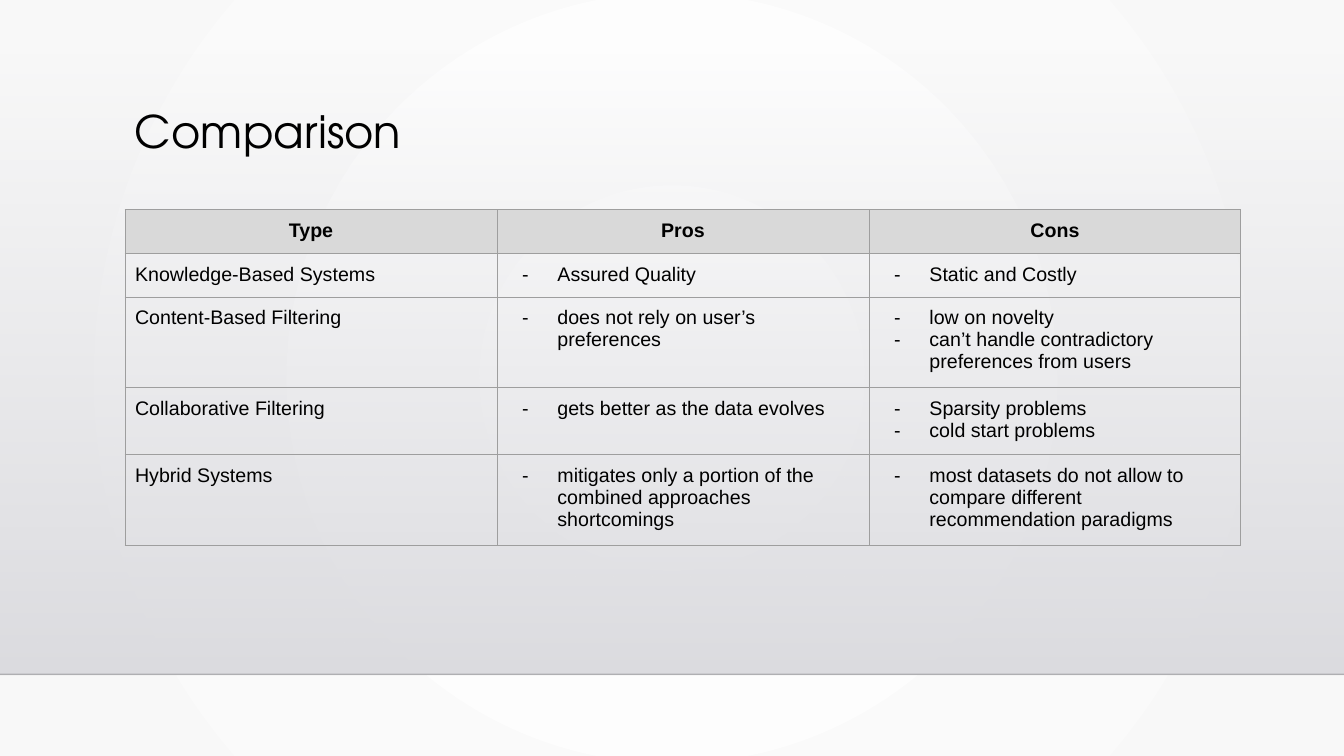
"""Build the slide that compares four kinds of recommender systems."""
from lxml.etree import SubElement
from pptx import Presentation
from pptx.dml.color import RGBColor as RGB
from pptx.enum.shapes import MSO_CONNECTOR as CONN, MSO_SHAPE as SHAPE
from pptx.enum.text import MSO_ANCHOR as ANCHOR, PP_ALIGN as ALIGN
from pptx.oxml.ns import qn
from pptx.util import Inches, Pt

THEME = {
    "ink": "000000", "header": "D9D9D9", "border": "9E9E9E", "rule": "000001",
    "backdrop": ("FFFFFF", "F8F8F8"), "floor": ("DCDCE0", "DDDDE1"),
    "title": ("TeX Gyre Adventor", 32), "body": ("Arial", 14),
}
HEADINGS = ["Type", "Pros", "Cons"]
SYSTEMS = [
    ("Knowledge-Based Systems", ["Assured Quality"], ["Static and Costly"]),
    ("Content-Based Filtering", ["does not rely on user’s preferences"],
     ["low on novelty", "can’t handle contradictory preferences from users"]),
    ("Collaborative Filtering", ["gets better as the data evolves"],
     ["Sparsity problems", "cold start problems"]),
    ("Hybrid Systems",
     ["mitigates only a portion of the combined approaches shortcomings"],
     ["most datasets do not allow to compare different recommendation paradigms"]),
]


def add_el(parent, tag, **attrs):
    return SubElement(parent, qn(tag), {k: str(v) for k, v in attrs.items()})


def add_run(p, text, style, bold=False):
    r = p.add_run()
    r.text = text
    r.font.name, size = THEME[style]
    r.font.size = Pt(size)
    r.font.bold = bold
    r.font.color.rgb = RGB.from_string(THEME["ink"])


prs = Presentation()
prs.slide_width, prs.slide_height = Inches(13.33), Inches(7.5)
W, H = prs.slide_width, prs.slide_height
COL, ROW = W / 100, H / 100
LEFT, PAD = int(9.3 * COL), int(0.75 * COL)
FLOOR_TOP, FLOOR_END = int(6.8 * ROW), int(89.2 * ROW)
s = prs.slides.add_slide(prs.slide_layouts[6])

sp = s.shapes.add_shape(SHAPE.RECTANGLE, 0, FLOOR_TOP, W, FLOOR_END - FLOOR_TOP)
sp.shadow.inherit = False
sp.line.fill.background()
for fill, colors in ((s.background.fill, "backdrop"), (sp.fill, "floor")):
    fill.gradient()
    for stop, color in zip(fill.gradient_stops, THEME[colors]):
        stop.color.rgb = RGB.from_string(color)
sp.fill.gradient_angle = 270
add_el(next(sp.element.iter(qn("a:srgbClr"))), "a:alpha", val=0)

lin = next(s.background.element.iter(qn("a:lin")) if hasattr(s.background, "element")
           else s.element.cSld.bg.iter(qn("a:lin")))
grad = lin.getparent()
grad.remove(lin)
add_el(add_el(grad, "a:path", path="circle"), "a:fillToRect",
       l=50000, t=50000, r=50000, b=50000)

rule = s.shapes.add_connector(CONN.STRAIGHT, 0, FLOOR_END, W, FLOOR_END)
rule.line.width = Pt(1)
rule.line.color.rgb = RGB.from_string(THEME["rule"])
add_el(next(rule.element.iter(qn("a:srgbClr"))), "a:alpha", val=20000)
add_el(rule.element.spPr, "a:effectLst")

title = s.shapes.add_textbox(LEFT, int(13.87 * ROW), int(78.77 * COL), int(15.33 * ROW))
tf = title.text_frame
tf.word_wrap = True
tf.vertical_anchor = ANCHOR.TOP
p = tf.paragraphs[0]
p.line_spacing = 0.9
add_run(p, "Comparison", "title")

n_rows, n_cols = len(SYSTEMS) + 1, len(HEADINGS)
col_w, row_h = int(27.68 * COL), int(5.6 * ROW)
table = s.shapes.add_table(n_rows, n_cols, LEFT, int(27.73 * ROW),
                           n_cols * col_w, n_rows * row_h).table
table.first_row = table.horz_banding = False
for i, row in enumerate([HEADINGS, *SYSTEMS]):
    table.rows[i].height = row_h
    for j, content in enumerate(row):
        table.columns[j].width = col_w
        cell = table.cell(i, j)
        cell.margin_left = cell.margin_right = PAD
        cell.margin_top = cell.margin_bottom = PAD
        tcPr = cell._tc.get_or_add_tcPr()
        for side in "LRTB":
            ln = add_el(tcPr, f"a:ln{side}", w=Pt(0.75))
            add_el(add_el(ln, "a:solidFill"), "a:srgbClr", val=THEME["border"])
        if i == 0:
            cell.fill.solid()
            cell.fill.fore_color.rgb = RGB.from_string(THEME["header"])
        else:
            cell.fill.background()
        bulleted = isinstance(content, list)
        tf = cell.text_frame
        for k, text in enumerate(content if bulleted else [content]):
            p = tf.add_paragraph() if k else tf.paragraphs[0]
            p.alignment = ALIGN.LEFT if i else ALIGN.CENTER
            if bulleted:
                pPr = p._p.get_or_add_pPr()
                pPr.set("marL", str(int(3.75 * COL)))
                pPr.set("indent", str(-int(2.63 * COL)))
                add_el(add_el(pPr, "a:buClr"), "a:srgbClr", val=THEME["ink"])
                add_el(pPr, "a:buFont", typeface=THEME["body"][0])
                add_el(pPr, "a:buChar", char="-")
            add_run(p, text, "body", bold=i == 0)

prs.save("out.pptx")
